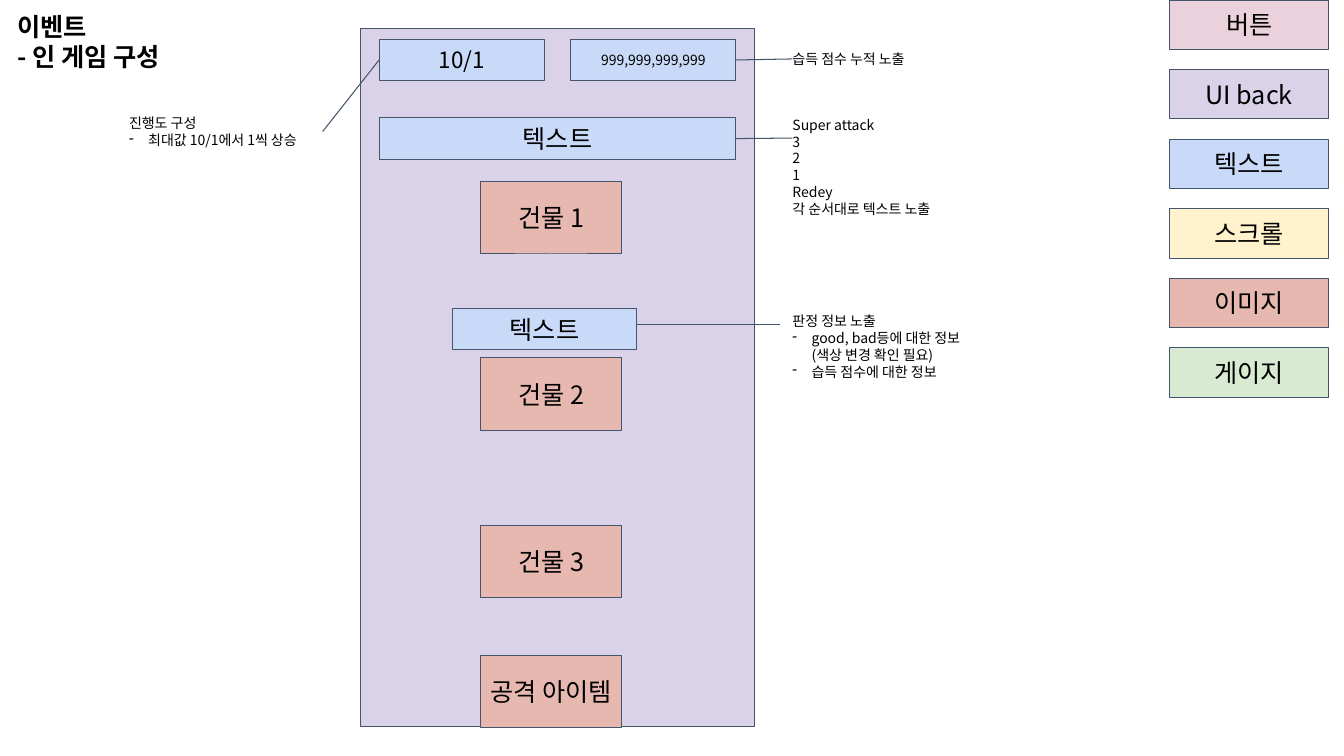
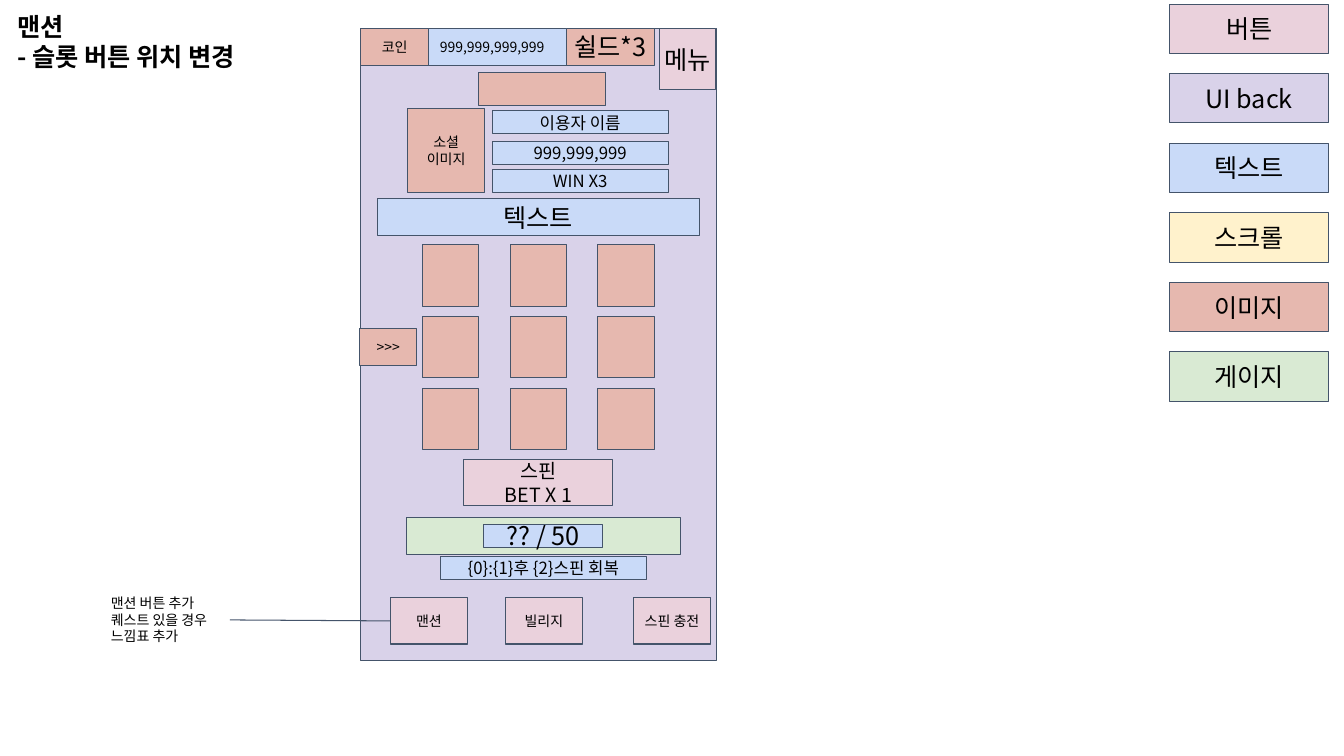
"""Build two wireframe slides for a mobile game event and its mansion screen."""
from itertools import product

from lxml.etree import SubElement
from pptx import Presentation
from pptx.dml.color import RGBColor as Rgb
from pptx.enum.shapes import MSO_CONNECTOR as Wire, MSO_SHAPE as Kind
from pptx.enum.text import MSO_ANCHOR as Anchor, MSO_AUTO_SIZE as Auto, PP_ALIGN as Align
from pptx.oxml.ns import qn
from pptx.util import Inches, Pt

FONT = "Noto Sans CJK KR"
INK = Rgb(0x00, 0x00, 0x00)
EDGE = Rgb(0x44, 0x54, 0x6A)
PINK = Rgb(0xEA, 0xD1, 0xDC)
LILAC = Rgb(0xD9, 0xD2, 0xE9)
BLUE = Rgb(0xC9, 0xDA, 0xF8)
CREAM = Rgb(0xFF, 0xF2, 0xCC)
CORAL = Rgb(0xE6, 0xB8, 0xAF)
GREEN = Rgb(0xD9, 0xEA, 0xD3)

LEGEND = [("버튼", PINK), ("UI back", LILAC), ("텍스트", BLUE),
          ("스크롤", CREAM), ("이미지", CORAL), ("게이지", GREEN)]
STEP = 0.69

HOUSES = [("건물 1", 1.8), ("건물 2", 3.55), ("건물 3", 5.21), ("공격 아이템", 6.5)]
STATS = [("이용자 이름", 1.1), ("999,999,999", 1.4), ("WIN X3", 1.68)]
MENU = [("맨션", 3.87), ("빌리지", 5.01), ("스핀 충전", 6.28)]
REELS = [(4.19 + 0.87 * col, 2.43 + 0.71 * row) for row, col in product(range(3), repeat=2)]

GAME = {
    "title": "이벤트\n- 인 게임 구성",
    "top": 0,
    "boxes": [
        ("", 18, LILAC, 3.58, 0.28, 3.9, 6.93),
        ("텍스트", 18, BLUE, 3.76, 1.17, 3.54, 0.41),
        ("10/1", 16, BLUE, 3.76, 0.39, 1.64, 0.41),
        ("999,999,999,999", 10, BLUE, 5.66, 0.39, 1.64, 0.41),
        *[(name, 18, CORAL, 4.77, top, 1.39, 0.72) for name, top in HOUSES],
        ("텍스트", 18, BLUE, 4.49, 3.06, 1.82, 0.41),
    ],
    "notes": [
        ("습득 점수 누적 노출", 7.86, 0.34, 0.49),
        ("Super attack\n3\n2\n1\nRedey\n각 순서대로 텍스트 노출", 7.86, 1.14, 1.03),
        ("진행도 구성\n- 최대값 10/1에서 1씩 상승", 1.28, 1.06, 0.49),
        ("판정 정보 노출\n- good, bad등에 대한 정보 (색상 변경 확인 필요)\n- 습득 점수에 대한 정보",
         7.86, 2.92, 1.03),
    ],
    "wires": [(7.3, 0.59, 7.86, 0.59), (7.3, 1.37, 7.86, 1.37),
              (3.19, 1.3, 3.76, 0.59), (6.31, 3.22, 7.74, 3.22)],
}

MANSION = {
    "title": "맨션\n- 슬롯 버튼 위치 변경",
    "top": 0.04,
    "boxes": [
        ("", 18, LILAC, 3.58, 0.28, 3.53, 6.27),
        ("", 18, GREEN, 4.03, 5.13, 2.72, 0.37),
        ("?? / 50", 18, BLUE, 4.8, 5.2, 1.18, 0.23),
        ("{0}:{1}후 {2}스핀 회복", 12, BLUE, 4.37, 5.52, 2.04, 0.23),
        *[("", 18, CORAL, left, top, 0.56, 0.61) for left, top in REELS],
        *[(name, 12, BLUE, 4.88, top, 1.75, 0.23) for name, top in STATS],
        ("텍스트", 18, BLUE, 3.74, 1.97, 3.2, 0.37),
        ("소셜\n이미지", 10, CORAL, 4.04, 1.08, 0.77, 0.83),
        ("메뉴", 18, PINK, 6.54, 0.28, 0.56, 0.61),
        ("쉴드*3", 18, CORAL, 5.62, 0.28, 0.87, 0.37),
        ("999,999,999,999", 10, BLUE, 4.14, 0.28, 1.48, 0.37),
        ("코인", 10, CORAL, 3.58, 0.28, 0.67, 0.37),
        (">>>", 10, CORAL, 3.57, 3.26, 0.56, 0.37),
        ("", 18, CORAL, 4.75, 0.72, 1.26, 0.33),
        ("스핀\nBET X 1", 14, PINK, 4.6, 4.56, 1.48, 0.46),
        *[(name, 10, PINK, left, 5.93, 0.77, 0.46) for name, left in MENU],
    ],
    "notes": [("맨션 버튼 추가\n퀘스트 있을 경우\n느낌표 추가", 1.1, 5.9, 0.49)],
    "wires": [(2.28, 6.15, 3.87, 6.15)],
}


def place(shape, *area):
    """Move and size a shape, in inches."""
    shape.left, shape.top, shape.width, shape.height = map(Inches, area)


def write(shape, text, size, align=Align.LEFT, anchor=Anchor.MIDDLE, bold=False):
    """Fill a shape with text in the shared style."""
    frame = shape.text_frame
    frame.text = text
    frame.word_wrap = True
    frame.auto_size = Auto.NONE
    frame.vertical_anchor = anchor
    frame.margin_left = frame.margin_right = frame.margin_top = frame.margin_bottom = 0
    for para in frame.paragraphs:
        para.alignment = align
        for run in para.runs:
            font = run.font
            font.name, font.size, font.bold = FONT, Pt(size), bold
            font.color.rgb = INK
            SubElement(font._element, qn("a:ea"), typeface=FONT)


def add_box(shapes, text, size, fill, *area):
    """Add one outlined wireframe block."""
    box = shapes.add_shape(Kind.RECTANGLE, *map(Inches, area))
    box.shadow.inherit = False
    box.fill.solid()
    box.fill.fore_color.rgb = fill
    box.line.color.rgb = EDGE
    box.line.width = Pt(0.75)
    if text:
        write(box, text, size, Align.CENTER)
    return box


def add_note(shapes, text, left, top, height):
    """Add a remark, with lines that start with a dash as bullets."""
    note = shapes.add_textbox(*map(Inches, (left, top, 1.92, height)))
    write(note, text, 10)
    for para in note.text_frame.paragraphs:
        if para.text.startswith("- "):
            para.runs[0].text = para.text[2:]
            props = para._p.get_or_add_pPr()
            props.set("marL", str(Inches(0.19)))
            props.set("indent", str(-Inches(0.19)))
            SubElement(props, qn("a:buChar"), char="-")
    return note


def join(hook, x, y, parts):
    """Join a line end to the part whose side has its middle there."""
    for part in parts:
        mid = part.top + part.height / 2
        for side, edge in ((1, part.left), (3, part.left + part.width)):
            if max(abs(edge - Inches(x)), abs(mid - Inches(y))) < Inches(0.02):
                hook(part, side)
                return


def add_wire(shapes, parts, x1, y1, x2, y2):
    """Add a thin line between a block and its remark."""
    wire = shapes.add_connector(Wire.STRAIGHT, *map(Inches, (x1, y1, x2, y2)))
    wire.line.color.rgb = EDGE
    wire.line.width = Pt(0.75)
    SubElement(wire._element.spPr, qn("a:effectLst"))
    join(wire.begin_connect, x1, y1, parts)
    join(wire.end_connect, x2, y2, parts)


def add_page(deck, layout, page):
    """Add a slide with its title, legend, blocks, remarks and lines."""
    shapes = deck.slides.add_slide(layout).shapes
    write(shapes.title, page["title"], 18, anchor=Anchor.TOP, bold=True)
    group = shapes.add_group_shape()
    for i, (name, fill) in enumerate(LEGEND):
        add_box(group.shapes, name, 18, fill, 11.6, page["top"] + STEP * i, 1.58, 0.49)
    parts = [add_box(shapes, *box) for box in page["boxes"]]
    parts += [add_note(shapes, *note) for note in page["notes"]]
    for ends in page["wires"]:
        add_wire(shapes, parts, *ends)


def main():
    """Build and save the deck."""
    deck = Presentation()
    deck.slide_width, deck.slide_height = Inches(13.33), Inches(7.5)
    layout = deck.slide_layouts[5]
    place(layout.placeholders[0], 0.17, 0.11, 2.62, 1.18)
    for page in (GAME, MANSION):
        add_page(deck, layout, page)
    deck.save("out.pptx")


if __name__ == "__main__":
    main()
